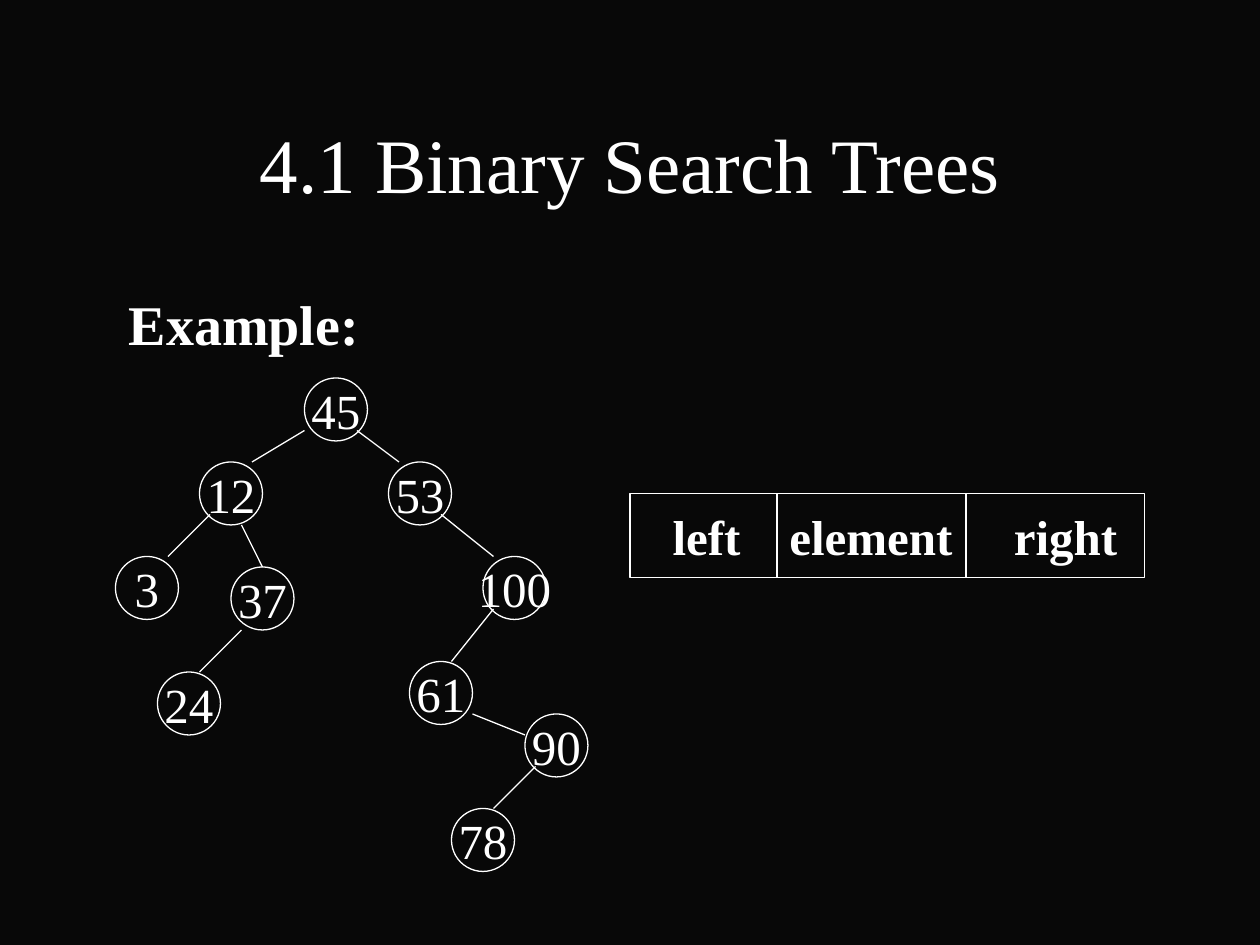
"""Build a slide that shows a binary search tree and its node layout."""
from dataclasses import dataclass

from lxml.etree import SubElement
from pptx import Presentation
from pptx.dml.color import RGBColor
from pptx.enum.shapes import MSO_CONNECTOR, MSO_SHAPE
from pptx.enum.text import MSO_ANCHOR, MSO_AUTO_SIZE, PP_ALIGN
from pptx.oxml.ns import qn
from pptx.util import Pt


@dataclass(frozen=True)
class Theme:
    """Colours, type sizes and line width in one place."""
    back: RGBColor = RGBColor(0x08, 0x08, 0x08)
    ink: RGBColor = RGBColor(0xFF, 0xFF, 0xFF)
    font: str = "Times New Roman"
    title: int = 44
    body: int = 32
    label: int = 28
    rule: float = 0.75


def write(frame, text, *, theme, size, bold=False, align=PP_ALIGN.CENTER,
          anchor=MSO_ANCHOR.MIDDLE, before=0, wrap=True, fit=MSO_AUTO_SIZE.NONE):
    """Put formatted text in a frame and return its paragraph."""
    frame.margin_left = frame.margin_right = Pt(3.6)
    frame.margin_top = frame.margin_bottom = Pt(3.6)
    frame.word_wrap, frame.auto_size = wrap, fit
    frame.vertical_anchor = anchor
    para = frame.paragraphs[0]
    para.alignment, para.space_before = align, Pt(before)
    run = para.add_run()
    run.text = text
    font = run.font
    font.name, font.size, font.bold = theme.font, Pt(size), bold
    font.color.rgb = theme.ink
    return para


class Board:
    """Hold the theme and the slide, and draw each kind of element."""

    def __init__(self, theme, slide):
        """Set the theme, the slide and its backdrop."""
        self.theme, self.slide = theme, slide
        self.group = None
        fill = slide.background.fill
        fill.solid()
        fill.fore_color.rgb = theme.back

    def start(self):
        """Open a new group for the parts that follow."""
        self.group = self.slide.shapes.add_group_shape().shapes

    def place(self, shape, x, y, w, h):
        """Move and size a holder."""
        shape.left, shape.top, shape.width, shape.height = map(Pt, (x, y, w, h))

    def title(self, text, *box):
        """Fill the title holder."""
        holder = self.slide.shapes.title
        self.place(holder, *box)
        write(holder.text_frame, text, theme=self.theme, size=self.theme.title)

    def body(self, text, *box, indent):
        """Fill the body holder with one line that has no bullet."""
        holder = self.slide.placeholders[1]
        self.place(holder, *box)
        para = write(holder.text_frame, text, theme=self.theme,
                     size=self.theme.body, bold=True, align=PP_ALIGN.LEFT,
                     anchor=MSO_ANCHOR.TOP, before=7)
        props = para._p.get_or_add_pPr()
        props.set("marL", str(Pt(indent)))
        props.set("indent", "0")
        SubElement(props, qn("a:buNone"))

    def shape(self, kind, x, y, w, h):
        """Draw an outlined shape with no fill."""
        shape = self.group.add_shape(kind, Pt(x), Pt(y), Pt(w), Pt(h))
        shape.shadow.inherit = False
        shape.fill.background()
        self.stroke(shape)

    def stroke(self, shape):
        """Style a line or an outline."""
        shape.line.color.rgb = self.theme.ink
        shape.line.width = Pt(self.theme.rule)

    def line(self, *ends):
        """Draw a straight line."""
        line = self.group.add_connector(MSO_CONNECTOR.STRAIGHT, *map(Pt, ends))
        self.stroke(line)
        SubElement(line._element.spPr, qn("a:effectLst"))

    def label(self, text, x, y, w, bold=False):
        """Write a label centred on a point."""
        h = 38.2
        box = self.group.add_textbox(Pt(x - w / 2), Pt(y - h / 2), Pt(w), Pt(h))
        write(box.text_frame, text, theme=self.theme, size=self.theme.label,
              bold=bold, before=6, wrap=False, fit=MSO_AUTO_SIZE.SHAPE_TO_FIT_TEXT)

    def node(self, key, x, y):
        """Draw a tree node with its key."""
        side = 36
        self.shape(MSO_SHAPE.OVAL, x, y, side, side)
        self.label(str(key), x + side / 2, y + side / 2, 8.4 + 14 * len(str(key)))


NODES = {
    45: (174, 216), 12: (114, 264), 53: (222, 264), 90: (300, 408),
    78: (258, 462), 100: (276, 318), 61: (234, 378), 24: (90, 384),
    37: (132, 324), 3: (66, 318),
}
EDGES = [
    (174, 246, 144, 264), (120, 294, 96, 318), (138, 300, 150, 324),
    (138, 360, 114, 384), (204, 246, 228, 264), (252, 294, 282, 318),
    (282, 348, 258, 378), (270, 408, 300, 420), (306, 438, 282, 462),
]
FIELDS = [("left", 403.7, 56), ("element", 497.7, 108), ("right", 608.9, 80)]


def main():
    """Build and save the slide."""
    deck = Presentation()
    deck.slide_width, deck.slide_height = Pt(720), Pt(540)
    board = Board(Theme(), deck.slides.add_slide(deck.slide_layouts[1]))
    board.title("4.1 Binary Search Trees", 54, 48, 612, 90)
    board.body("Example:", 54, 162, 612, 354, indent=16)

    board.start()
    for key, spot in NODES.items():
        board.node(key, *spot)
    for edge in EDGES:
        board.line(*edge)

    board.start()
    top, high = 282, 48
    board.shape(MSO_SHAPE.RECTANGLE, 360, top, 294, high)
    for text, x, w in FIELDS:
        board.label(text, x, top + high / 2, w, bold=True)
    for x in (444, 552):
        board.line(x, top, x, top + high)
    deck.save("out.pptx")


if __name__ == "__main__":
    main()
